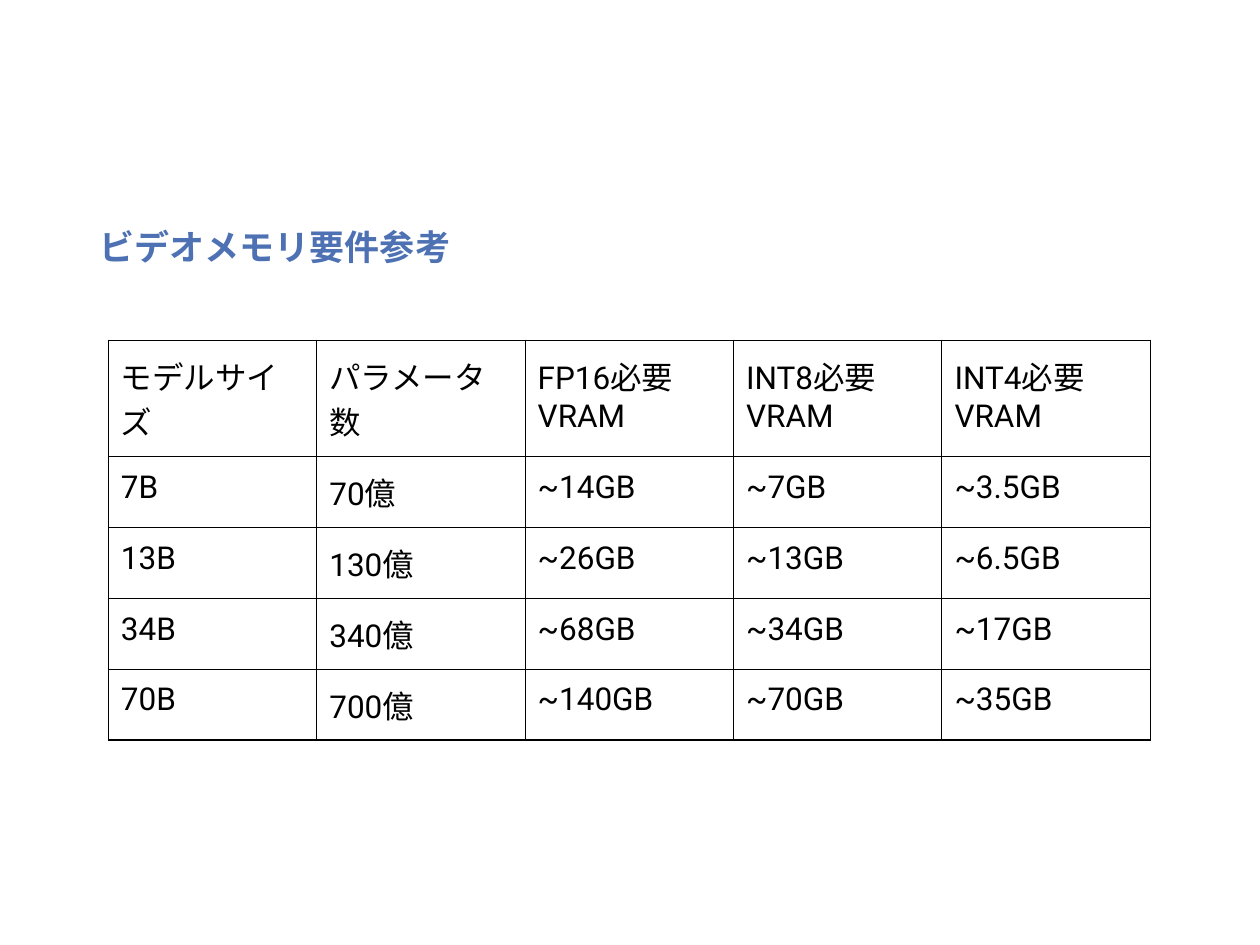
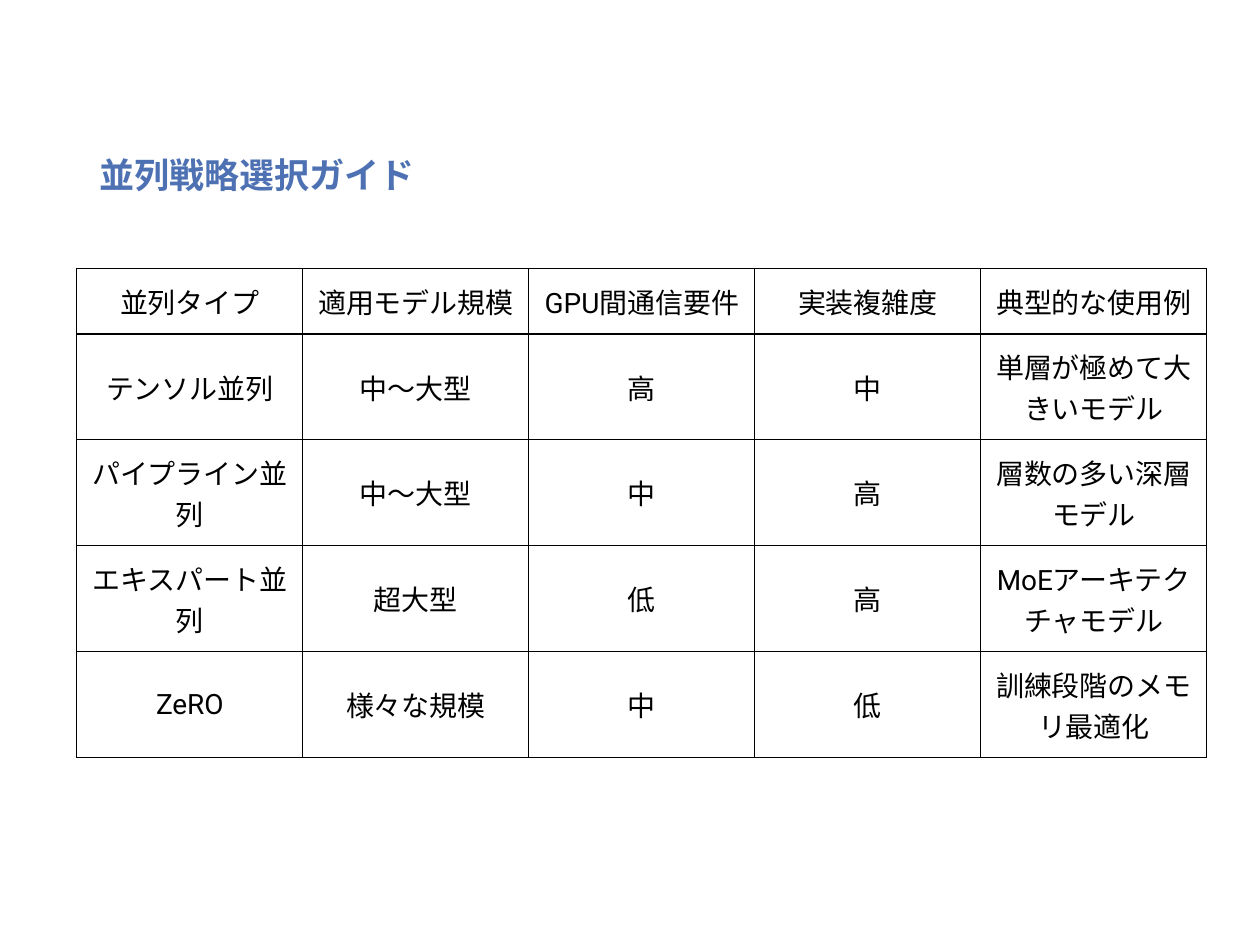
import pptx
import pptx.util
import pptx.dml.color
import pptx.enum.text
import pptx.oxml
import pptx.oxml.ns

Inches, Pt = pptx.util.Inches, pptx.util.Pt
ALIGN, ANCHOR = pptx.enum.text.PP_ALIGN, pptx.enum.text.MSO_ANCHOR

GUIDES = [
    {
        "title": "ビデオメモリ要件参考",
        "title_top": 1.25,
        "grid": {"left": 0.86, "top": 2.7, "width": 8.27},
        "side_margin": 0.1,
        "size": 18,
        "align": ALIGN.LEFT,
        "anchor": ANCHOR.TOP,
        "rows": [
            ("モデルサイズ", "パラメータ数", "FP16必要VRAM", "INT8必要VRAM", "INT4必要VRAM"),
            ("7B", "70億", "~14GB", "~7GB", "~3.5GB"),
            ("13B", "130億", "~26GB", "~13GB", "~6.5GB"),
            ("34B", "340億", "~68GB", "~34GB", "~17GB"),
            ("70B", "700億", "~140GB", "~70GB", "~35GB"),
        ],
    },
    {
        "title": "並列戦略選択ガイド",
        "title_top": 0.68,
        "grid": {"left": 0.61, "top": 2.13, "width": 8.97},
        "side_margin": 0.09,
        "size": 16,
        "align": ALIGN.CENTER,
        "anchor": ANCHOR.MIDDLE,
        "rows": [
            ("並列タイプ", "適用モデル規模", "GPU間通信要件", "実装複雑度", "典型的な使用例"),
            ("テンソル並列", "中〜大型", "高", "中", "単層が極めて大きいモデル"),
            ("パイプライン並列", "中〜大型", "中", "高", "層数の多い深層モデル"),
            ("エキスパート並列", "超大型", "低", "高", "MoEアーキテクチャモデル"),
            ("ZeRO", "様々な規模", "中", "低", "訓練段階のメモリ最適化"),
        ],
    },
]

COLORS = {"title": "4D71B3", "text": "000000", "border": "000000", "paper": "FFFFFF"}
FONTS = {"title": "Noto Sans CJK SC", "latin": "Roboto", "japanese": "Noto Sans CJK SC"}
TITLE_BOX = {"left": 0.69, "width": 8.62, "height": 1.45}
ROW_HEIGHT = 0.42
CELL_MARGIN = 0.1
BORDER_WIDTH = Pt(0.75)
SIDES = ("lnL", "lnR", "lnT", "lnB")


def set_all(target, values):
    for name, value in values.items():
        setattr(target, name, value)


def style_text(paragraph, color, latin, **values):
    run = paragraph.runs[0]
    set_all(run.font, {"name": latin, **values})
    run.font.color.rgb = pptx.dml.color.RGBColor.from_string(COLORS[color])
    east_asian = pptx.oxml.parse_xml(
        f'<a:ea {pptx.oxml.ns.nsdecls("a")} typeface="{FONTS["japanese"]}"/>'
    )
    run.font._element.find(pptx.oxml.ns.qn("a:latin")).addnext(east_asian)


def add_borders(cell):
    properties = cell._tc.get_or_add_tcPr()
    for position, side in enumerate(SIDES):
        properties.insert(position, pptx.oxml.parse_xml(
            f'<a:{side} {pptx.oxml.ns.nsdecls("a")} w="{BORDER_WIDTH}">'
            f'<a:solidFill><a:srgbClr val="{COLORS["border"]}"/></a:solidFill>'
            f'</a:{side}>'
        ))


def place_title(slide, guide):
    heading = slide.shapes.title
    box = {**TITLE_BOX, "top": guide["title_top"]}
    set_all(heading, {name: Inches(length) for name, length in box.items()})
    heading.text = guide["title"]
    set_all(heading.text_frame, {
        "word_wrap": True,
        "auto_size": pptx.enum.text.MSO_AUTO_SIZE.NONE,
        "vertical_anchor": ANCHOR.MIDDLE,
    })
    paragraph = heading.text_frame.paragraphs[0]
    set_all(paragraph, {"alignment": ALIGN.LEFT, "line_spacing": 0.9})
    style_text(paragraph, "title", FONTS["title"], size=Pt(20), bold=True)


def fill_cell(cell, text, guide):
    cell.text = text
    side, edge = Inches(guide["side_margin"]), Inches(CELL_MARGIN)
    set_all(cell, {
        "margin_left": side, "margin_right": side,
        "margin_top": edge, "margin_bottom": edge,
        "vertical_anchor": guide["anchor"],
    })
    cell.fill.background()
    add_borders(cell)
    paragraph = cell.text_frame.paragraphs[0]
    paragraph.alignment = guide["align"]
    style_text(paragraph, "text", FONTS["latin"], size=Pt(guide["size"]), bold=False)


def place_table(slide, guide):
    rows, grid = guide["rows"], guide["grid"]
    table = slide.shapes.add_table(
        len(rows), len(rows[0]), Inches(grid["left"]), Inches(grid["top"]),
        Inches(grid["width"]), Inches(ROW_HEIGHT * len(rows)),
    ).table
    set_all(table, {"first_row": False, "horz_banding": False})
    for row, texts in enumerate(rows):
        for column, text in enumerate(texts):
            fill_cell(table.cell(row, column), text, guide)


def main():
    deck = pptx.Presentation()
    set_all(deck, {"slide_width": Inches(10), "slide_height": Inches(7.5)})
    title_only = deck.slide_layouts[5]
    paper = deck.slide_master.background.fill
    paper.solid()
    paper.fore_color.rgb = pptx.dml.color.RGBColor.from_string(COLORS["paper"])
    for guide in GUIDES:
        slide = deck.slides.add_slide(title_only)
        place_title(slide, guide)
        place_table(slide, guide)
    deck.save("out.pptx")


if __name__ == "__main__":
    main()
